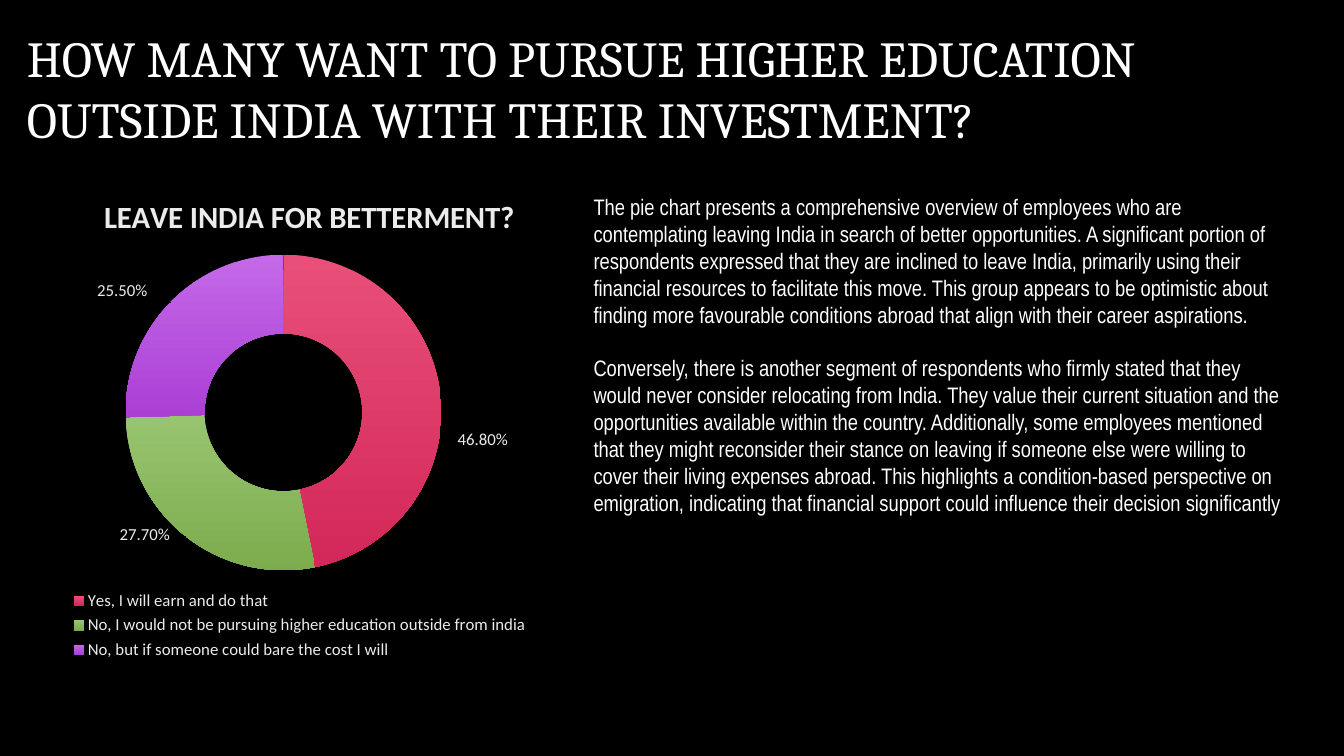
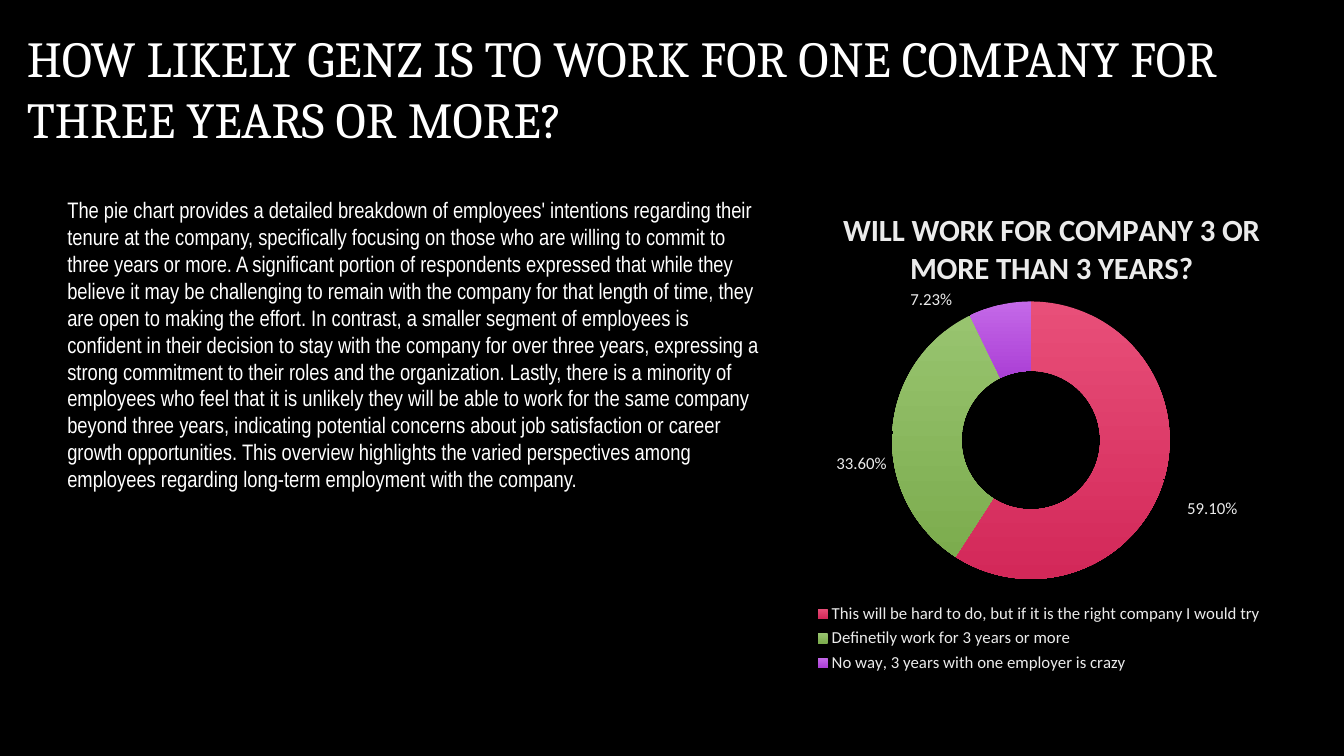
import pptx
import pptx.util
import pptx.oxml
import pptx.chart.data
import pptx.dml.color
import pptx.enum.chart
import pptx.enum.text
from dataclasses import dataclass

Pt = pptx.util.Pt
Rgb = pptx.dml.color.RGBColor.from_string


@dataclass(frozen=True)
class Theme:
    back: str = "000000"
    ink: str = "FFFFFF"
    soft: str = "EBEBEB"
    slices: tuple = (("E84F79", "D32859"), ("98C46F", "7CAC4E"), ("C469E8", "AB3FD5"))
    serif: str = "Cambria"
    narrow: str = "Arial Narrow"
    sans: str = "Calibri"
    head: int = 36
    body: int = 16
    title: int = 22
    label: int = 12
    base: int = 10
    gap: int = 19


look = Theme()

# Slide contents; boxes are left, top, width, height in grid cells,
# and each paragraph is a list of sentences
pages = [
    dict(
        head="HOW MANY WANT TO PURSUE HIGHER EDUCATION OUTSIDE INDIA WITH THEIR INVESTMENT?",
        title="LEAVE INDIA FOR BETTERMENT?",
        cats=["Yes, I will earn and do that",
              "No, I would not be pursuing higher education outside from india",
              "No, but if someone could bare the cost I will"],
        vals=[0.468, 0.277, 0.255],
        chart=(1, 10.44, 32.4, 29.1),
        ring=dict(x=0.2, y=0.16, w=0.58, h=0.65),
        text=(34.74, 11.22, 42.36, 23.2),
        paras=[
            ["The pie chart presents a comprehensive overview of employees who are contemplating "
             "leaving India in search of better opportunities.",
             "A significant portion of respondents expressed that they are inclined to leave "
             "India, primarily using their financial resources to facilitate this move.",
             "This group appears to be optimistic about finding more favourable conditions "
             "abroad that align with their career aspirations."],
            ["Conversely, there is another segment of respondents who firmly stated that they "
             "would never consider relocating from India.",
             "They value their current situation and the opportunities available within the "
             "country.",
             "Additionally, some employees mentioned that they might reconsider their stance on "
             "leaving if someone else were willing to cover their living expenses abroad.",
             "This highlights a condition-based perspective on emigration, indicating that "
             "financial support could influence their decision significantly"]]),
    dict(
        head="HOW LIKELY GENZ IS TO WORK FOR ONE COMPANY FOR THREE YEARS OR MORE?",
        title="WILL WORK FOR COMPANY 3 OR MORE THAN 3 YEARS?",
        cats=["This will be hard to do, but if it is the right company I would try",
              "Definetily work for 3 years or more",
              "No way, 3 years with one employer is crazy"],
        vals=[0.591, 0.336, 0.0723],
        chart=(45, 11.22, 32.4, 29.1),
        ring=dict(x=0.25, y=0.23, w=0.51, h=0.57),
        text=(3.42, 11.4, 42.36, 20),
        paras=[
            ["The pie chart provides a detailed breakdown of employees' intentions regarding "
             "their tenure at the company, specifically focusing on those who are willing to "
             "commit to three years or more.",
             "A significant portion of respondents expressed that while they believe it may be "
             "challenging to remain with the company for that length of time, they are open to "
             "making the effort.",
             "In contrast, a smaller segment of employees is confident in their decision to stay "
             "with the company for over three years, expressing a strong commitment to their "
             "roles and the organization.",
             "Lastly, there is a minority of employees who feel that it is unlikely they will be "
             "able to work for the same company beyond three years, indicating potential "
             "concerns about job satisfaction or career growth opportunities.",
             "This overview highlights the varied perspectives among employees regarding "
             "long-term employment with the company."]]),
]

# Shared deck setup: a grid of 80 columns by 45 rows
deck = pptx.Presentation()
deck.slide_width = pptx.util.Inches(13.33)
deck.slide_height = pptx.util.Inches(7.5)
cols, rows = 80, 45
fill = deck.slide_master.background.fill
fill.solid()
fill.fore_color.rgb = Rgb(look.back)
headbox = (1, 1.32, 77.9, 7.86)
shifts = [(0.15, 0.08), (-0.12, 0.06), (-0.14, -0.08)]
sides = (deck.slide_width / cols, deck.slide_height / rows) * 2


def style(font, face, size, color, bold=False):
    font.name, font.size, font.bold = face, Pt(size), bold
    font.color.rgb = Rgb(color)


def place(node, spot, edge=True, **shares):
    for old in node.xpath("./c:layout"):
        node.remove(old)
    modes = '<c:xMode val="edge"/><c:yMode val="edge"/>' if edge else ""
    sizes = "".join(f'<c:{key} val="{val}"/>' for key, val in shares.items())
    ns = "http://schemas.openxmlformats.org/drawingml/2006/chart"
    node.insert(spot, pptx.oxml.parse_xml(
        f'<c:layout xmlns:c="{ns}"><c:manualLayout>{modes}{sizes}</c:manualLayout></c:layout>'))


for page in pages:
    # Grid cells to lengths
    hbox, cbox, tbox = [[round(n * side) for n, side in zip(box, sides)]
                        for box in (headbox, page["chart"], page["text"])]

    # Heading
    slide = deck.slides.add_slide(deck.slide_layouts[5])
    head = slide.shapes.title
    head.left, head.top, head.width, head.height = hbox
    frame = head.text_frame
    frame.word_wrap = True
    frame.auto_size = pptx.enum.text.MSO_AUTO_SIZE.SHAPE_TO_FIT_TEXT
    frame.vertical_anchor = pptx.enum.text.MSO_ANCHOR.TOP
    para = frame.paragraphs[0]
    para.alignment = pptx.enum.text.PP_ALIGN.LEFT
    run = para.add_run()
    run.text = page["head"]
    style(run.font, look.serif, look.head, look.ink)

    # Doughnut chart
    data = pptx.chart.data.CategoryChartData(number_format="0.00%")
    data.categories = page["cats"]
    data.add_series("Series 1", page["vals"])
    kind = pptx.enum.chart.XL_CHART_TYPE.DOUGHNUT
    chart = slide.shapes.add_chart(kind, *cbox, data).chart
    style(chart.font, look.sans, look.base, look.ink)
    plot = chart.plots[0]
    plot.vary_by_categories = True
    root = chart.element
    root.xpath(".//c:holeSize")[0].set("val", "75")
    place(root.xpath(".//c:plotArea")[0], 0, **page["ring"])

    # Chart title and legend
    chart.has_title = True
    run = chart.chart_title.text_frame.paragraphs[0].add_run()
    run.text = page["title"]
    style(run.font, look.sans, look.title, look.soft, bold=True)
    chart.chart_title.include_in_layout = False
    place(root.xpath(".//c:title")[0], 1, x=0.15, y=0.03)
    chart.has_legend = True
    chart.legend.position = pptx.enum.chart.XL_LEGEND_POSITION.BOTTOM
    chart.legend.include_in_layout = False
    style(chart.legend.font, look.sans, look.label, look.soft)
    place(root.xpath(".//c:legend")[0], 1, x=0.08, y=0.84, w=0.88, h=0.16)

    # Slices and their labels
    ring = plot.series[0]
    tags = ring.data_labels
    tags.show_value = True
    tags.number_format, tags.number_format_is_linked = "0.00%", False
    style(tags.font, look.sans, look.label, look.soft)
    for i, (tones, (dx, dy)) in enumerate(zip(look.slices, shifts)):
        point = ring.points[i]
        fill = point.format.fill
        fill.gradient()
        fill.gradient_angle = 270
        for stop, tone in zip(fill.gradient_stops, tones):
            stop.color.rgb = Rgb(tone)
        style(point.data_label.font, look.sans, look.label, look.soft)
        place(root.xpath(f".//c:dLbl[c:idx/@val='{i}']")[0], 1, edge=False, x=dx, y=dy)

    # Commentary
    frame = slide.shapes.add_textbox(*tbox).text_frame
    frame.word_wrap = True
    frame.auto_size = pptx.enum.text.MSO_AUTO_SIZE.SHAPE_TO_FIT_TEXT
    for i, lines in enumerate(page["paras"]):
        para = frame.add_paragraph() if i else frame.paragraphs[0]
        para.space_before = Pt(look.gap if i else 0)
        run = para.add_run()
        run.text = " ".join(lines)
        style(run.font, look.narrow, look.body, look.ink)

deck.save("out.pptx")
